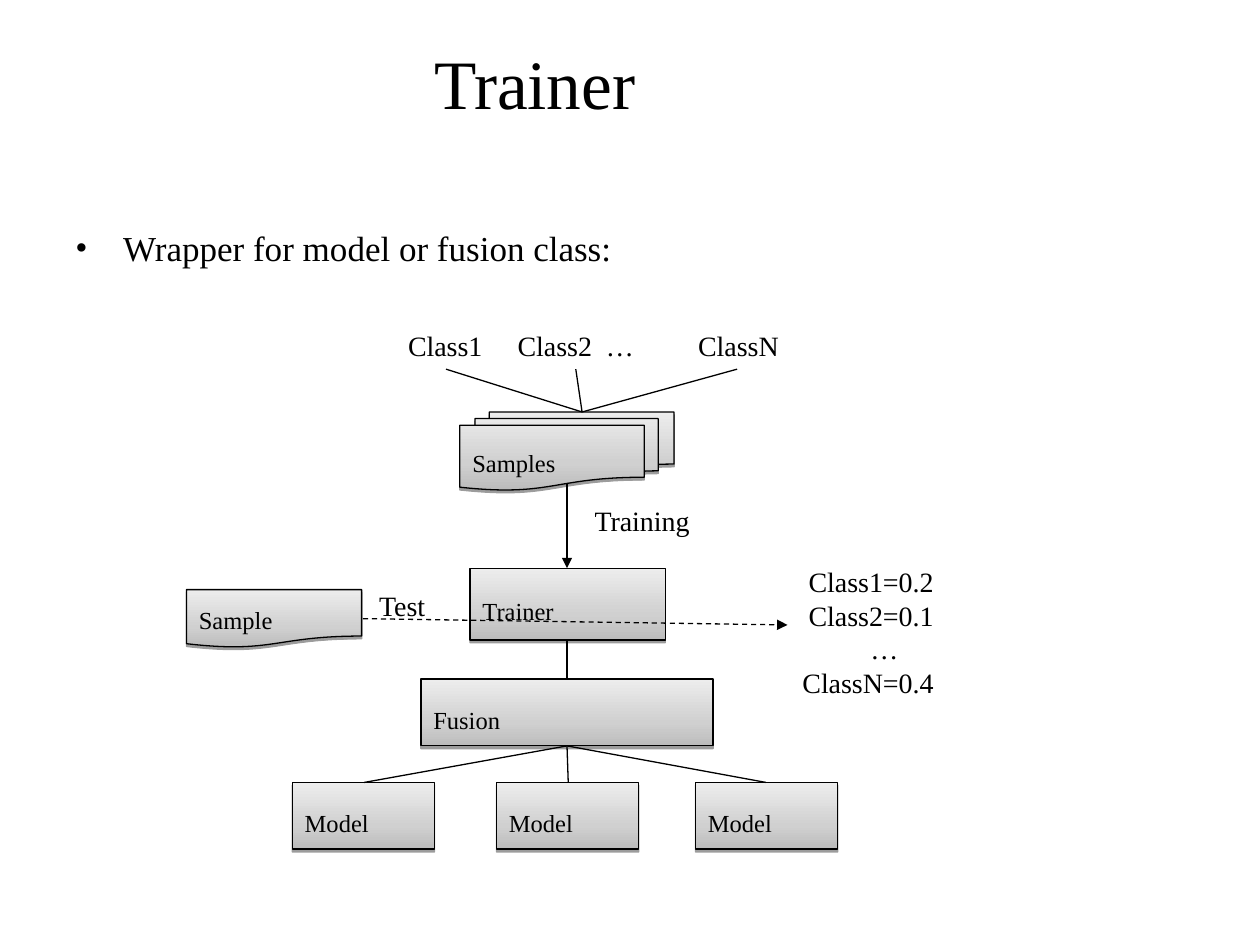
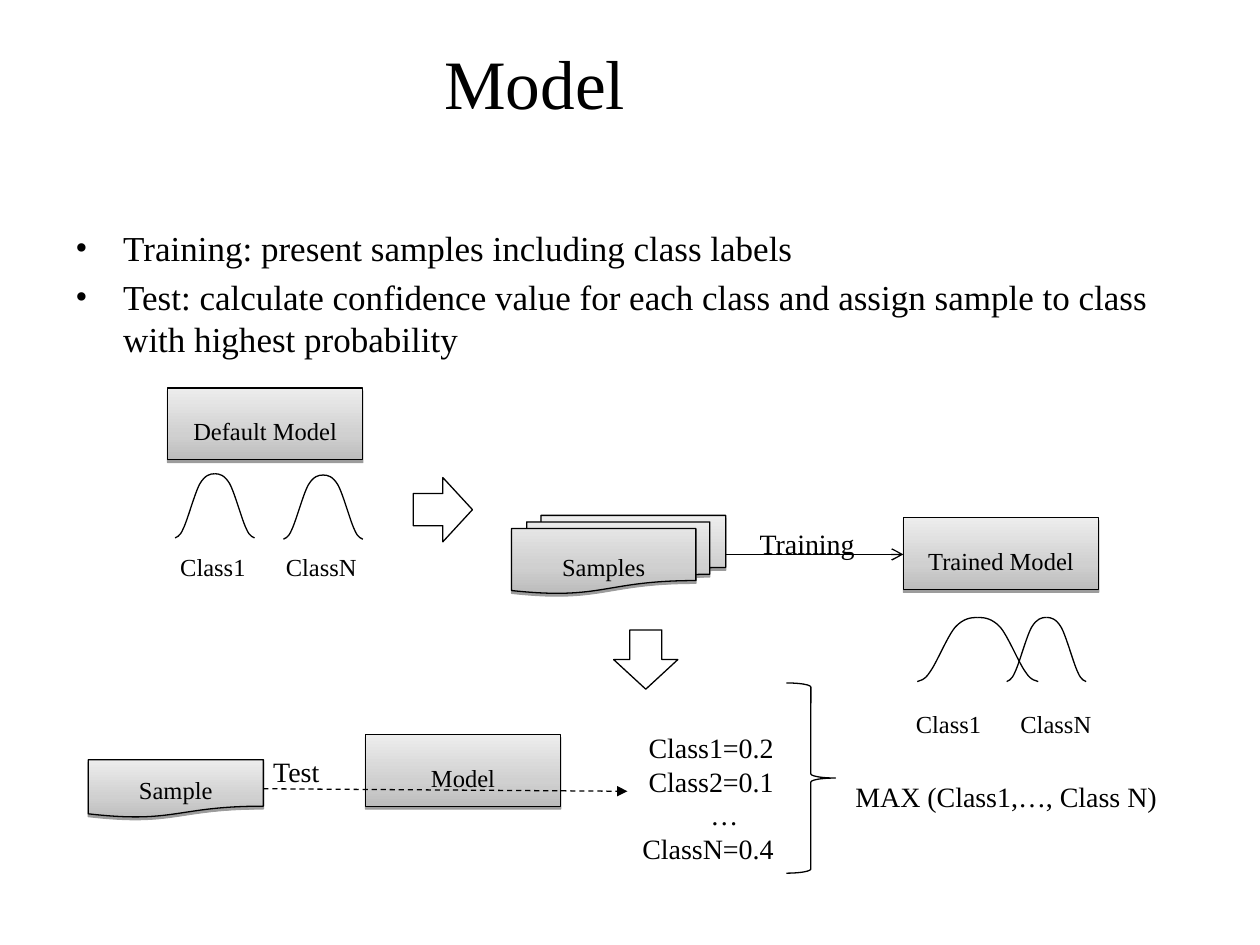
"""Build two slides that explain the trainer and model classes of a classifier."""
from lxml import etree
from pptx import Presentation
from pptx import util as u
from pptx.dml.color import RGBColor
from pptx.enum import dml, shapes, text
from pptx.oxml.ns import qn

COLOURS = {"ink": "000000", "dark": "BCBCBC", "middle": "D0D0D0", "light": "EDEDED"}
GRADIENT = [(0, "dark"), (35, "middle"), (100, "light")]
FONT = "Times New Roman"
LEFT, CENTER, RIGHT = text.PP_ALIGN.LEFT, text.PP_ALIGN.CENTER, text.PP_ALIGN.RIGHT
KINDS = {
    "block": shapes.MSO_SHAPE.RECTANGLE,
    "document": shapes.MSO_SHAPE.FLOWCHART_DOCUMENT,
    "stack": shapes.MSO_SHAPE.FLOWCHART_MULTIDOCUMENT,
    "arrow": shapes.MSO_SHAPE.RIGHT_ARROW,
    "brace": shapes.MSO_SHAPE.RIGHT_BRACE,
}
BLOCK, DOCUMENT, STACK = (1.55, 0.57), (1.39, 0.46), (1.7, 0.62)
FUSION, MODEL = (2.32, 0.53), (1.13, 0.53)
CONFIDENCES = ["Class1=0.2", "Class2=0.1", "…", "ClassN=0.4"]
ELLIPSIS_INDENT, ELLIPSIS_TAB = 0.54, 0.7

BELL_HEIGHT = 0.51
BELL_RISE = [
    [(0.02, 0.98), (0.11, 1), (0.21, 0.85)],
    [(0.32, 0.71), (0.5, 0.29), (0.63, 0.15)],
    [(0.76, 0.02), (0.88, 0), (1, 0)],
]

SLIDES = [
    {
        "title": "Trainer",
        "bullets": ["Wrapper for model or fusion class:"],
        "body_height": 0.5,
        "node_align": LEFT,
        "nodes": [
            ("block", "Trainer", (3.73, 4.51), BLOCK),
            ("block", "Fusion", (3.34, 5.39), FUSION),
            ("stack", "Samples", (3.65, 3.27), STACK),
            ("document", "Sample", (1.48, 4.68), DOCUMENT),
            *[("block", "Model", (left, 6.21), MODEL) for left in (2.32, 3.94, 5.52)],
        ],
        "fans": [
            ((4.62, 3.27), [(3.54, 2.93), (4.57, 2.93), (5.85, 2.93)]),
            ((4.5, 5.92), [(2.89, 6.21), (4.51, 6.21), (6.08, 6.21)]),
            ((4.5, 5.08), [(4.5, 5.39)]),
        ],
        "training": ((4.5, 3.76), (4.5, 4.51), "triangle"),
        "test": ((2.88, 4.91), (6.25, 4.96), "triangle", True),
        "labels": [
            ("Training", (4.62, 3.84), (0.98, 0.48), 16),
            ("Class1", (3.14, 2.45), (0.8, 0.48), 16),
            ("Class2\t…", (4.01, 2.45), (1.14, 0.48), 16),
            ("ClassN", (5.42, 2.45), (0.86, 0.48), 16, RIGHT),
            ("Test", (2.91, 4.51), (0.59, 0.48), 16),
        ],
        "confidences": (6.25, 4.32),
        "outlines": [],
        "bell_groups": [],
    },
    {
        "title": "Model",
        "bullets": [
            "Training: present samples including class labels",
            "Test: calculate confidence value for each class and assign sample to class "
            "with highest probability",
        ],
        "body_height": 1.17,
        "node_align": CENTER,
        "nodes": [
            ("block", "Model", (2.9, 5.83), BLOCK),
            ("document", "Sample", (0.7, 6.03), DOCUMENT),
            ("stack", "Samples", (4.06, 4.09), STACK),
            ("block", "Trained Model", (7.17, 4.11), BLOCK),
            ("block", "Default Model", (1.33, 3.08), BLOCK),
        ],
        "fans": [],
        "training": ((5.76, 4.4), (7.17, 4.4), "arrow"),
        "test": ((2.09, 6.26), (4.98, 6.28), "triangle", True),
        "labels": [
            ("Test", (2.07, 5.83), (0.59, 0.48), 16),
            ("MAX (Class1,…, Class N)", (6.69, 6.03), (2.64, 0.48), 16),
            ("Training", (5.93, 4.02), (0.98, 0.48), 16),
            ("Class1", (1.33, 4.22), (0.72, 0.45), 14, CENTER),
            ("ClassN", (2.16, 4.22), (0.78, 0.45), 14, CENTER),
        ],
        "confidences": (4.98, 5.64),
        "outlines": [
            ("brace", (6.24, 5.42), (0.39, 1.51), 0),
            ("arrow", (3.28, 3.79), (0.47, 0.51), 0),
            ("arrow", (4.89, 4.98), (0.47, 0.51), 90),
        ],
        "bell_groups": [
            {
                "bells": [((7.99, 4.9), 0.63), ((7.28, 4.9), 0.96)],
                "labels": [
                    ("Class1", (7.17, 5.47), (0.72, 0.45), 14),
                    ("ClassN", (8, 5.47), (0.78, 0.45), 14),
                ],
            },
            {"bells": [((2.25, 3.77), 0.63)], "labels": []},
            {"bells": [((1.39, 3.76), 0.63)], "labels": []},
        ],
    },
]


def colour(name):
    return RGBColor.from_string(COLOURS[name])


def inches(*values):
    return [u.Inches(value) for value in values]


def write(para, words, size, align=LEFT):
    para.alignment = align
    span = para.add_run()
    span.text = words
    span.font.name = FONT
    span.font.size = u.Pt(size)
    span.font.color.rgb = colour("ink")


def set_frame(shape):
    frame = shape.text_frame
    frame.margin_left, frame.margin_top, frame.margin_right, frame.margin_bottom = inches(
        0.1, 0.16, 0.1, 0.05)
    frame.word_wrap = False
    return frame


def set_line(shape):
    shape.line.color.rgb = colour("ink")
    shape.line.width = u.Pt(0.75)


def set_outline(shape):
    shape.shadow.inherit = False
    shape.fill.background()
    set_line(shape)


def add_outline(page, kind, at, size, turn=0):
    shape = page.shapes.add_shape(KINDS[kind], *inches(*at, *size))
    shape.rotation = turn
    set_outline(shape)
    return shape


def add_node(page, kind, words, at, size, align):
    shape = add_outline(page, kind, at, size)
    shape.fill.gradient()
    shape.fill.gradient_angle = 90
    properties = shape._element.spPr
    stops = properties.find(qn("a:gradFill")).find(qn("a:gsLst"))
    for stop in list(stops):
        stops.remove(stop)
    for percent, name in GRADIENT:
        stop = etree.SubElement(stops, qn("a:gs"), pos=str(percent * 1000))
        etree.SubElement(stop, qn("a:srgbClr"), val=COLOURS[name])
    shadow = etree.SubElement(properties.find(qn("a:effectLst")), qn("a:outerShdw"),
                              dist=str(u.Pt(1.6)), dir="5400000", rotWithShape="0")
    tint = etree.SubElement(shadow, qn("a:srgbClr"), val=COLOURS["ink"])
    etree.SubElement(tint, qn("a:alpha"), val="38000")
    frame = set_frame(shape)
    frame.vertical_anchor = text.MSO_ANCHOR.MIDDLE
    write(frame.paragraphs[0], words, 14, align)


def add_line(page, start, end, head=None, dashed=False):
    line = page.shapes.add_connector(shapes.MSO_CONNECTOR.STRAIGHT, *inches(*start, *end))
    set_line(line)
    if dashed:
        line.line.dash_style = dml.MSO_LINE.DASH
    properties = line._element.spPr
    if head:
        etree.SubElement(properties.find(qn("a:ln")), qn("a:tailEnd"), type=head)
    etree.SubElement(properties, qn("a:effectLst"))


def add_label(page, words, at, size, points, align=LEFT):
    box = page.shapes.add_textbox(*inches(*at, *size))
    frame = set_frame(box)
    if align == CENTER:
        frame.vertical_anchor = text.MSO_ANCHOR.MIDDLE
    else:
        frame.auto_size = text.MSO_AUTO_SIZE.SHAPE_TO_FIT_TEXT
    para = frame.paragraphs[0]
    if "\t" in words:
        tabs = etree.SubElement(para._p.get_or_add_pPr(), qn("a:tabLst"))
        etree.SubElement(tabs, qn("a:tab"), pos=str(u.Inches(ELLIPSIS_TAB)), algn="l")
    write(para, words, points, align)


def add_confidences(page, at):
    box = page.shapes.add_textbox(*inches(*at, 1.26, 1.29))
    frame = set_frame(box)
    frame.auto_size = text.MSO_AUTO_SIZE.SHAPE_TO_FIT_TEXT
    for index, words in enumerate(CONFIDENCES):
        para = frame.add_paragraph() if index else frame.paragraphs[0]
        if words == "…":
            para._p.get_or_add_pPr().set("marL", str(u.Inches(ELLIPSIS_INDENT)))
        write(para, words, 16, LEFT if words == "…" else RIGHT)


def add_bell_half(page, foot, top):
    builder = page.shapes.build_freeform(*foot, scale=1.0)
    builder.add_line_segments([top], close=False)
    half = builder.convert_to_shape()
    outline = next(half._element.iter(qn("a:path")))
    outline.remove(outline.find(qn("a:lnTo")))
    for curve in BELL_RISE:
        segment = etree.SubElement(outline, qn("a:cubicBezTo"))
        for x, y in curve:
            across = x if foot[0] < top[0] else 1 - x
            etree.SubElement(segment, qn("a:pt"), x=str(round(across * half.width)),
                             y=str(round(y * half.height)))
    set_outline(half)


def add_bell(page, at, width):
    left, middle, right = inches(at[0], at[0] + width / 2, at[0] + width)
    top, base = inches(at[1], at[1] + BELL_HEIGHT)
    for foot in (left, right):
        add_bell_half(page, (foot, base), (middle, top))


def add_heading(page, title, bullets, body_height):
    box = page.shapes.add_textbox(*inches(1.33, 0.3, 5.83, 0.7))
    box.text_frame.word_wrap = True
    box.text_frame.vertical_anchor = text.MSO_ANCHOR.MIDDLE
    write(box.text_frame.paragraphs[0], title, 39.6, CENTER)

    body = page.shapes.add_textbox(*inches(0.5, 1.75, 9, body_height))
    body.text_frame.word_wrap = True
    for index, words in enumerate(bullets):
        para = body.text_frame.add_paragraph() if index else body.text_frame.paragraphs[0]
        properties = para._p.get_or_add_pPr()
        properties.set("marL", str(u.Inches(0.38)))
        properties.set("indent", str(u.Inches(-0.38)))
        etree.SubElement(properties, qn("a:buFont"), typeface=FONT)
        etree.SubElement(properties, qn("a:buChar"), char="•")
        if index:
            para.space_before = u.Pt(4)
        write(para, words, 20)


def add_page(deck, content):
    page = deck.slides.add_slide(deck.slide_layouts[6])
    add_heading(page, content["title"], content["bullets"], content["body_height"])
    add_line(page, *content["training"])
    for node in content["nodes"]:
        add_node(page, *node, content["node_align"])
    for apex, ends in content["fans"]:
        for end in ends:
            add_line(page, apex, end)
    add_line(page, *content["test"])
    for label in content["labels"]:
        add_label(page, *label)
    add_confidences(page, content["confidences"])
    for outline in content["outlines"]:
        add_outline(page, *outline)
    for members in content["bell_groups"]:
        group = page.shapes.add_group_shape()
        for bell in members["bells"]:
            add_bell(group, *bell)
        for label in members["labels"]:
            add_label(group, *label)


def main():
    deck = Presentation()
    deck.slide_width, deck.slide_height = inches(10, 7.5)
    for content in SLIDES:
        add_page(deck, content)
    deck.save("out.pptx")


if __name__ == "__main__":
    main()
